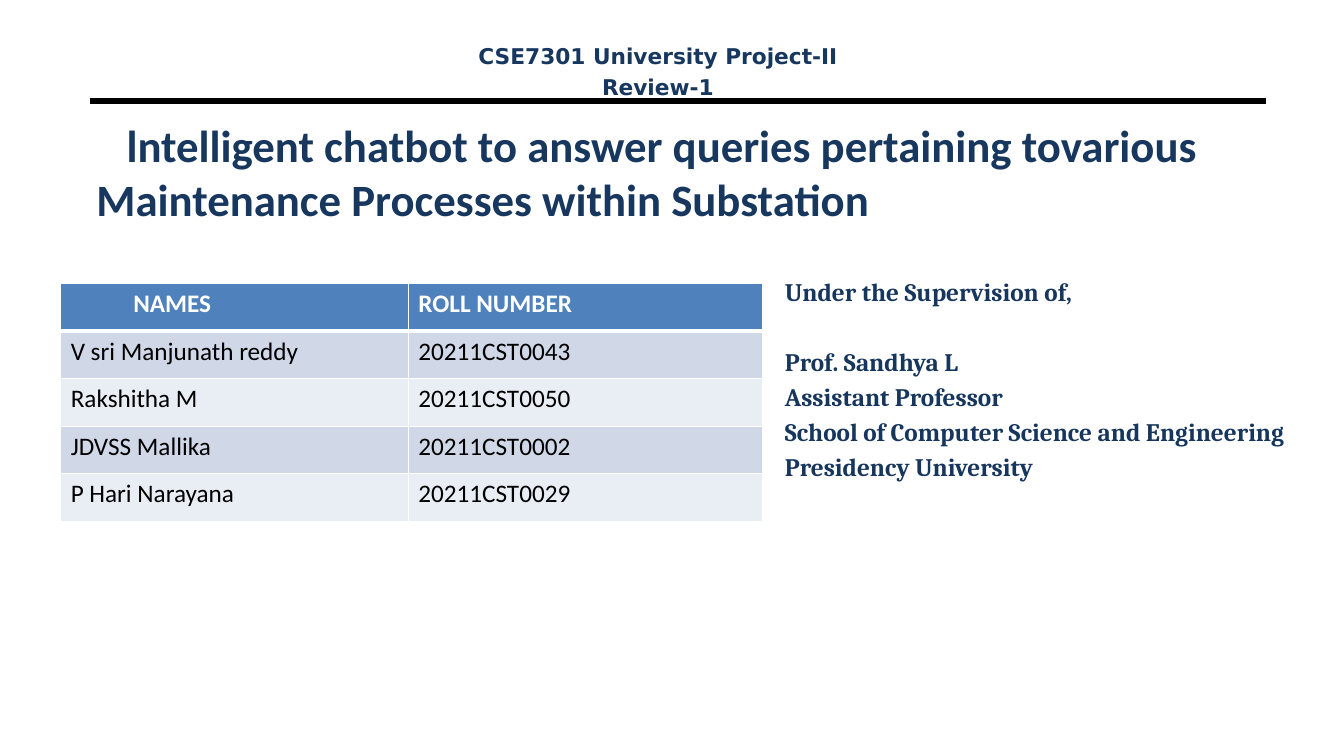
from dataclasses import dataclass

from lxml import etree
from pptx import Presentation
from pptx.dml.color import RGBColor
from pptx.enum.shapes import MSO_CONNECTOR
from pptx.enum.text import MSO_ANCHOR, PP_ALIGN
from pptx.oxml.ns import qn
from pptx.util import Cm, Pt

STRAIGHT = MSO_CONNECTOR.STRAIGHT
TOP = MSO_ANCHOR.TOP
LEFT, CENTER = PP_ALIGN.LEFT, PP_ALIGN.CENTER


@dataclass(frozen=True)
class Theme:
    """Colours, fonts and type sizes of the slide."""
    title_navy: str = "17375E"
    text_navy: str = "17365D"
    black: str = "000000"
    white: str = "FFFFFF"
    header_blue: str = "4F81BD"
    bands: tuple = ("D0D8E8", "E9EDF4")
    body_font: str = "Calibri"
    course_font: str = "DejaVu Sans"
    supervisor_font: str = "Cambria"
    title_size: float = 32
    body_size: float = 18
    course_size: float = 15.5


class SlideBuilder:
    """Places styled elements on one slide."""

    def __init__(self, slide, theme):
        self.slide = slide
        self.theme = theme

    def style(self, paragraph, font, size, color, bold=True):
        """Format every run of a paragraph."""
        for run in paragraph.runs:
            run.font.name = font
            run.font.size = Pt(size)
            run.font.bold = bold
            run.font.color.rgb = RGBColor.from_string(color)

    def text(self, box, lines, font, size, color, align=LEFT, gap=0, inset=0.13):
        """Add a wrapped text box and return its paragraphs."""
        frame = self.slide.shapes.add_textbox(*map(Cm, box)).text_frame
        frame.word_wrap = True
        frame.vertical_anchor = TOP
        frame.margin_top = Cm(inset)
        frame.text = "\n".join(lines)
        for paragraph in frame.paragraphs:
            paragraph.alignment = align
            paragraph.space_before = Pt(gap)
            self.style(paragraph, font, size, color)
        return frame.paragraphs

    def rule(self, start, end, y, width):
        """Add a horizontal black rule."""
        rule = self.slide.shapes.add_connector(STRAIGHT, Cm(start), Cm(y), Cm(end), Cm(y))
        rule.line.color.rgb = RGBColor.from_string(self.theme.black)
        rule.line.width = Pt(width)
        etree.SubElement(rule.element.spPr, qn("a:effectLst"))

    def border(self, cell, side, width):
        """Draw one white cell border."""
        edge = etree.SubElement(cell._tc.get_or_add_tcPr(), qn(f"a:ln{side}"), w=str(Pt(width)))
        fill = etree.SubElement(edge, qn("a:solidFill"))
        etree.SubElement(fill, qn("a:srgbClr"), val=self.theme.white)

    def table(self, left, top, widths, row_height, rows):
        """Add a banded table with a header row and return it."""
        theme = self.theme
        table = self.slide.shapes.add_table(
            len(rows), len(widths), Cm(left), Cm(top),
            Cm(sum(widths)), Cm(row_height * len(rows))).table
        for column, width in zip(table.columns, widths):
            column.width = Cm(width)
        for row, values in enumerate(rows):
            header = row == 0
            background = theme.header_blue if header else theme.bands[(row - 1) % 2]
            color = theme.white if header else theme.black
            edges = {"L": 1, "R": 1, "T": 3 if row == 1 else 1, "B": 3 if header else 1}
            for column, value in enumerate(values):
                cell = table.cell(row, column)
                cell.text = value
                self.style(cell.text_frame.paragraphs[0], theme.body_font,
                           theme.body_size, color, header)
                for side, width in edges.items():
                    self.border(cell, side, width)
                cell.fill.solid()
                cell.fill.fore_color.rgb = RGBColor.from_string(background)
        return table


def main():
    """Build and save the project title slide."""
    theme = Theme()
    deck = Presentation()
    deck.slide_width, deck.slide_height = Cm(33.87), Cm(19.05)
    builder = SlideBuilder(deck.slides.add_slide(deck.slide_layouts[6]), theme)

    builder.rule(2.26, 31.9, 2.54, 4.5)
    title, = builder.text(
        (2.18, 2.97, 28.78, 4.09),
        ["lntelligent chatbot to answer queries pertaining tovarious "
         "Maintenance Processes within Substation"],
        theme.body_font, theme.title_size, theme.title_navy, inset=0)
    title._p.get_or_add_pPr().set("indent", str(Cm(0.76)))

    builder.text(
        (11.07, 0.94, 11.02, 1.52), ["CSE7301 University Project-II", "Review-1"],
        theme.course_font, theme.course_size, theme.title_navy, CENTER, gap=3.6)

    students = builder.table(1.53, 7.14, (8.76, 8.94), 1.2, [
        ("NAMES", "ROLL NUMBER"),
        ("V sri Manjunath reddy", "20211CST0043"),
        ("Rakshitha M", "20211CST0050"),
        ("JDVSS Mallika", "20211CST0002"),
        ("P Hari Narayana", "20211CST0029"),
    ])
    students.cell(0, 0).margin_left = Cm(1.83)

    supervision = builder.text(
        (19.53, 6.83, 13.92, 5.41),
        ["Under the Supervision of,", "Prof. Sandhya L", "Assistant Professor",
         "School of Computer Science and Engineering", "Presidency University"],
        theme.supervisor_font, theme.body_size, theme.text_navy, gap=3.4)
    supervision[1].space_before = Pt(28.4)

    deck.save("out.pptx")


if __name__ == "__main__":
    main()
